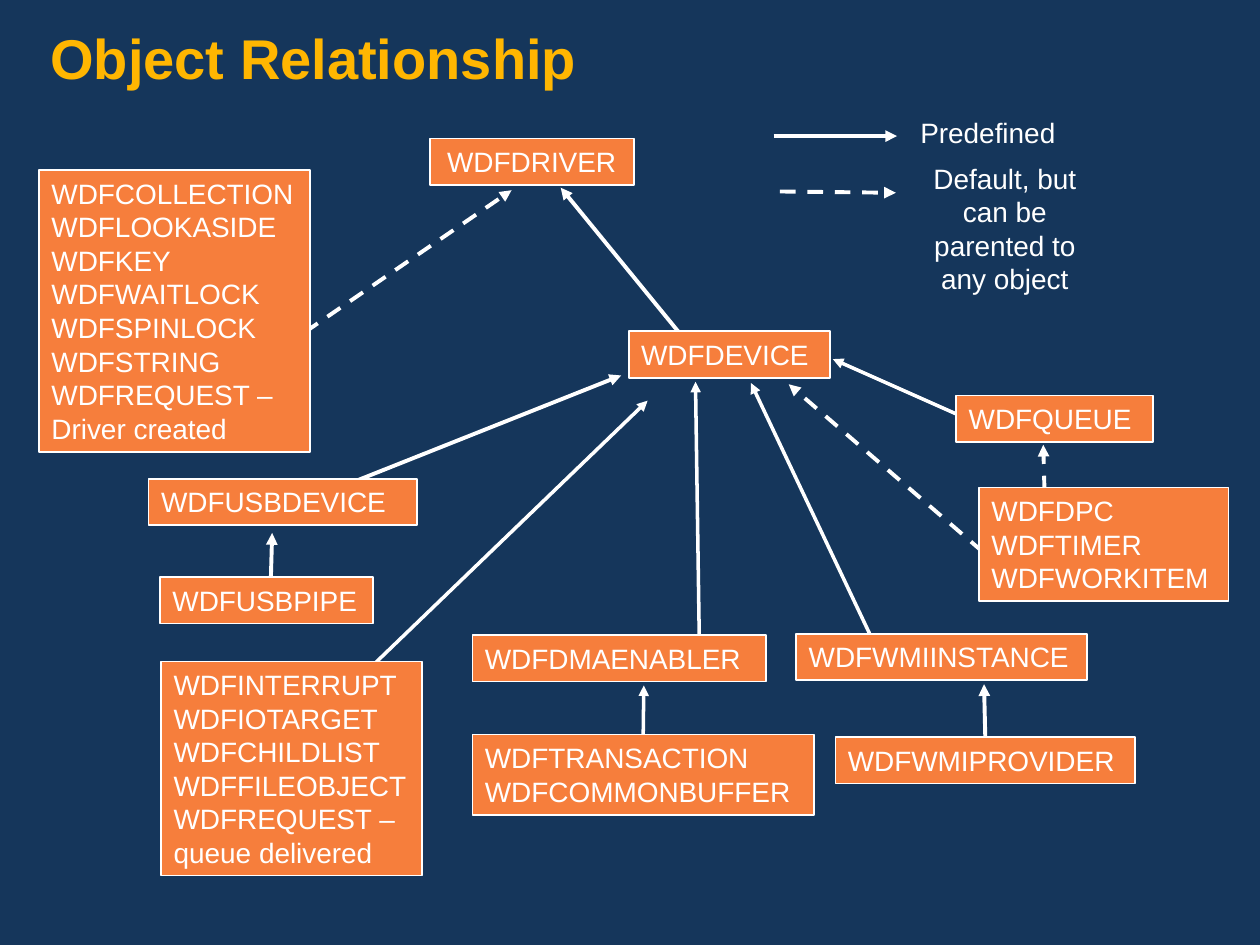
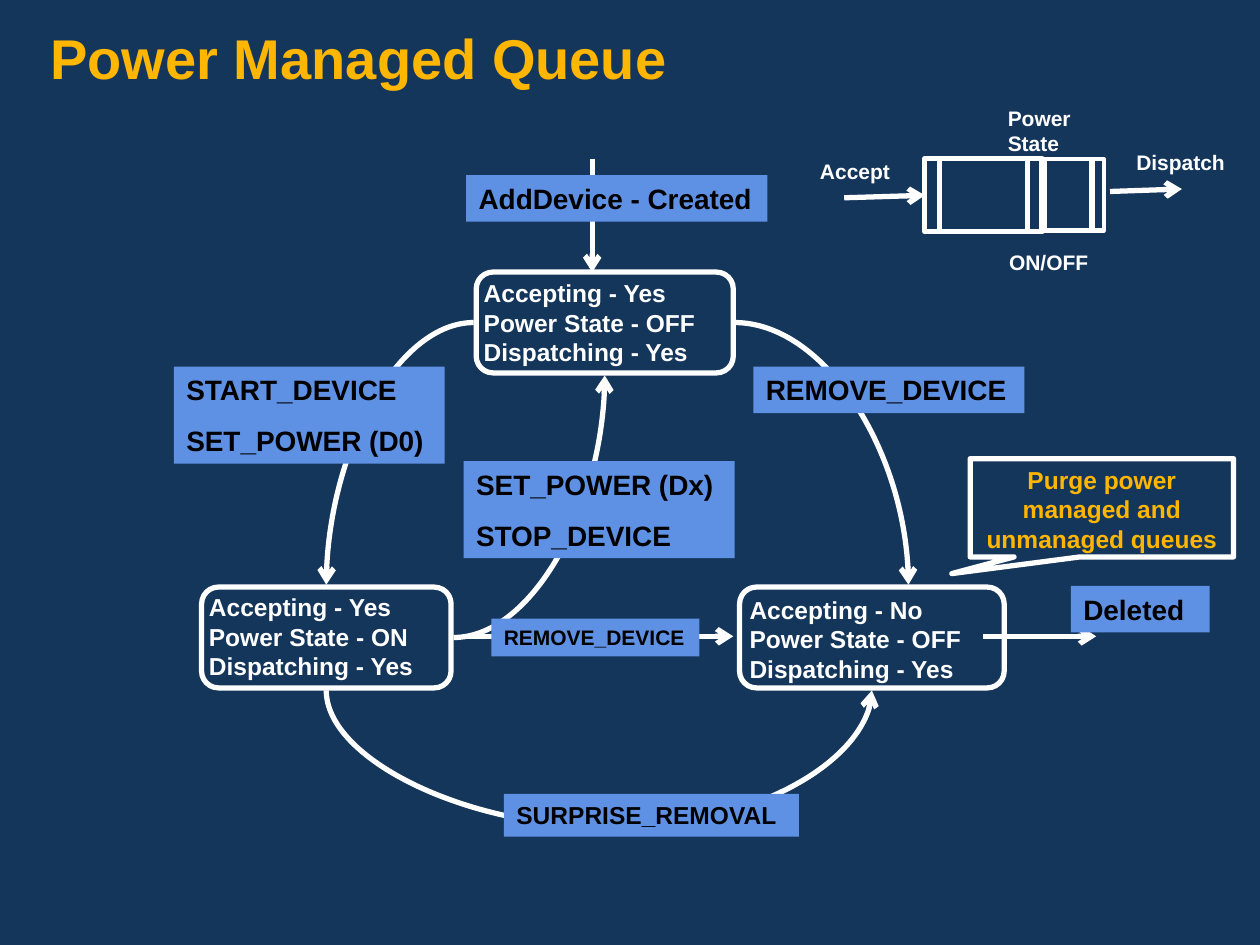
from copy import deepcopy
from dataclasses import dataclass

from lxml import etree
from pptx import Presentation
from pptx.dml.color import RGBColor
from pptx.enum.dml import MSO_LINE
from pptx.enum.shapes import MSO_CONNECTOR, MSO_SHAPE
from pptx.enum.text import MSO_ANCHOR, MSO_AUTO_SIZE, PP_ALIGN
from pptx.oxml.ns import qn
from pptx.util import Emu, Pt

PX = 9144  # 100 px to the inch
NAVY, GOLD, ORANGE, BLUE = "15365B", "FFB601", "F67E3C", "5E91E4"
WHITE, BLACK = "FFFFFF", "000000"
FONT = "Arial"
TITLE_ONLY = 5
LEFT, CENTER = PP_ALIGN.LEFT, PP_ALIGN.CENTER
TOP, MIDDLE = MSO_ANCHOR.TOP, MSO_ANCHOR.MIDDLE
FIT, FIXED = MSO_AUTO_SIZE.SHAPE_TO_FIT_TEXT, MSO_AUTO_SIZE.NONE
STRAIGHT, CURVE = MSO_CONNECTOR.STRAIGHT, MSO_CONNECTOR.CURVE
DASH = MSO_LINE.DASH
RECT, CALLOUT = MSO_SHAPE.RECTANGLE, MSO_SHAPE.RECTANGULAR_CALLOUT
ROUNDED = MSO_SHAPE.FLOWCHART_ALTERNATE_PROCESS
PREDEFINED = MSO_SHAPE.FLOWCHART_PREDEFINED_PROCESS
PROCESS = MSO_SHAPE.FLOWCHART_PROCESS
SITE_TOP, SITE_LEFT = 0, 1


@dataclass(frozen=True)
class Box:
    x: int
    y: int
    w: int
    h: int
    text: str = ""
    size: int = 16
    align: PP_ALIGN = LEFT


@dataclass(frozen=True)
class Outline:
    kind: MSO_SHAPE
    x: int
    y: int
    w: int
    h: int
    width: float = 3


@dataclass(frozen=True)
class Line:
    x1: int
    y1: int
    x2: int
    y2: int
    width: float = 2.25
    dashed: bool = False
    head: str = "triangle"
    curved: bool = False


def px(*lengths: int) -> list[Emu]:
    return [Emu(n * PX) for n in lengths]


def rgb(color: str) -> RGBColor:
    return RGBColor.from_string(color)


def write_text(tf, text: str, *, size: int = 16, color: str = WHITE, bold: bool = False,
               align: PP_ALIGN = LEFT, gap: int = 0, spacing: float = 1,
               wrap: bool = True, anchor: MSO_ANCHOR = TOP,
               fit: MSO_AUTO_SIZE = FIT) -> None:
    """Fill a frame: a newline starts a paragraph, a vertical tab breaks a line."""
    tf.word_wrap, tf.vertical_anchor, tf.auto_size = wrap, anchor, fit
    for i, content in enumerate(text.split("\n")):
        p = tf.add_paragraph() if i else tf.paragraphs[0]
        p.text = content
        p.alignment, p.line_spacing = align, spacing
        p.space_before = Pt(gap if i else 0)
        for r in p.runs:
            r.font.name, r.font.size, r.font.bold = FONT, Pt(size), bold
            r.font.color.rgb = rgb(color)
        for br in p._p.findall(qn("a:br")):
            br.append(deepcopy(p.runs[0]._r.rPr))


def add_panel(s, kind: MSO_SHAPE, box: Box | Outline, fill: str | None = None,
              line_width: float = 0):
    sp = s.shapes.add_shape(kind, *px(box.x, box.y, box.w, box.h))
    sp.shadow.inherit = False
    if fill:
        sp.fill.solid()
        sp.fill.fore_color.rgb = rgb(fill)
    else:
        sp.fill.background()
    if line_width:
        sp.line.color.rgb = rgb(WHITE)
        sp.line.width = Pt(line_width)
    else:
        sp.line.fill.background()
    return sp


def add_object(s, box: Box):
    """Orange box with one or more object types."""
    sp = add_panel(s, RECT, box, ORANGE, 1)
    write_text(sp.text_frame, box.text, align=box.align)
    return sp


def add_event(s, box: Box) -> None:
    """Blue label on a transition."""
    sp = add_panel(s, RECT, box, BLUE)
    write_text(sp.text_frame, box.text, size=box.size, color=BLACK, bold=True, gap=10)


def add_caption(s, box: Box, **text_format) -> None:
    tb = s.shapes.add_textbox(*px(box.x, box.y, box.w, box.h))
    write_text(tb.text_frame, box.text, size=box.size, align=box.align, **text_format)


def add_line(s, line: Line):
    """Draw a connector; a curve leaves horizontally and arrives vertically."""
    kind = CURVE if line.curved else STRAIGHT
    cxn = s.shapes.add_connector(kind, *px(line.x1, line.y1, line.x2, line.y2))
    cxn.line.color.rgb = rgb(WHITE)
    cxn.line.width = Pt(line.width)
    if line.dashed:
        cxn.line.dash_style = DASH
    spPr = cxn._element.spPr
    if line.curved:
        spPr.find(qn("a:prstGeom")).set("prst", "curvedConnector2")
    if line.head:
        etree.SubElement(spPr.find(qn("a:ln")), qn("a:tailEnd"), type=line.head)
    etree.SubElement(spPr, qn("a:effectLst"))
    return cxn


def add_titled_slide(prs, title: str):
    s = prs.slides.add_slide(prs.slide_layouts[TITLE_ONLY])
    sp = s.shapes.title
    sp.left, sp.top, sp.width, sp.height = px(0, 0, 1000, 75)
    tf = sp.text_frame
    tf.margin_left, tf.margin_top, tf.margin_right, tf.margin_bottom = px(40, 25, 40, 5)
    write_text(tf, title, size=32, color=GOLD, bold=True, spacing=0.9, fit=FIXED)
    return s


RELATIONS = [
    Line(769, 333, 661, 285, 2),
    Line(269, 554, 514, 318, 2),
    Line(829, 390, 828, 353, dashed=True),
    Line(548, 275, 445, 149),
    Line(555, 508, 552, 303, 2),
    Line(694, 511, 596, 304, 2),
    Line(780, 438, 626, 305, dashed=True),
    Line(249, 395, 493, 298),
    Line(224, 276, 406, 151, dashed=True),
    Line(215, 458, 216, 423),
    Line(614, 108, 712, 108),
    Line(619, 152, 711, 153, dashed=True),
]
LEGEND = [
    Box(720, 87, 128, 37, "Predefined", align=CENTER),
    Box(730, 123, 135, 117, "Default, but can be parented to any object", align=CENTER),
]
OBJECTS = [
    Box(341, 110, 162, 37, "WDFDRIVER", align=CENTER),
    Box(499, 263, 160, 37, "WDFDEVICE"),
    Box(759, 314, 156, 37, "WDFQUEUE"),
    Box(777, 387, 198, 90, "WDFDPC\vWDFTIMER\vWDFWORKITEM"),
    Box(31, 135, 215, 224, "WDFCOLLECTION\vWDFLOOKASIDE\vWDFKEY\vWDFWAITLOCK\v"
        "WDFSPINLOCK\vWDFSTRING\vWDFREQUEST –\vDriver created"),
    Box(118, 380, 213, 37, "WDFUSBDEVICE"),
    Box(127, 458, 169, 37, "WDFUSBPIPE"),
    Box(128, 525, 207, 170, "WDFINTERRUPT\nWDFIOTARGET\nWDFCHILDLIST\n"
        "WDFFILEOBJECT\vWDFREQUEST –\vqueue delivered"),
    Box(375, 504, 233, 37, "WDFDMAENABLER"),
    Box(632, 503, 231, 37, "WDFWMIINSTANCE"),
]
# Child objects whose arrow leaves from the middle of the top side
CHILDREN = [
    (Box(375, 583, 271, 64, "WDFTRANSACTION\vWDFCOMMONBUFFER"), Line(511, 583, 511, 544, 2)),
    (Box(663, 585, 238, 37, "WDFWMIPROVIDER"), Line(782, 585, 781, 543)),
]

OUTLINES = [
    Outline(ROUNDED, 378, 216, 204, 80),
    Outline(ROUNDED, 160, 466, 198, 80),
    Outline(ROUNDED, 587, 466, 210, 80),
    Outline(PROCESS, 829, 126, 38, 57, 2.5),
    Outline(PROCESS, 866, 126, 10, 57, 2.5),
]
QUEUE = Outline(PREDEFINED, 734, 126, 93, 58)
TRANSITIONS = [
    Line(376, 256, 259, 464, 3, head="arrow", curved=True),
    Line(360, 506, 480, 298, 3, head="arrow", curved=True),
    Line(583, 256, 721, 464, 3, head="arrow", curved=True),
    Line(479, 656, 259, 548, 3, head="", curved=True),
    Line(492, 656, 692, 548, 3, head="arrow", curved=True),
    Line(470, 126, 470, 216, 3, head="arrow"),
    Line(370, 505, 582, 505, 3, head="arrow"),
    Line(780, 505, 870, 505, 3, head="arrow"),
    Line(881, 152, 938, 150, 3, head="arrow"),
]
ACCEPT_ARROW = Line(670, 157, 734, 155, 3, head="arrow")
EVENTS = [
    Box(370, 139, 239, 37, "AddDevice - Created"),
    Box(138, 291, 215, 77, "START_DEVICE\nSET_POWER (D0)"),
    Box(368, 366, 215, 77, "SET_POWER (Dx)\nSTOP_DEVICE"),
    Box(598, 291, 215, 37, "REMOVE_DEVICE"),
    Box(400, 630, 234, 34, "SURPRISE_REMOVAL", 14),
    Box(850, 465, 110, 37, "Deleted"),
    Box(390, 491, 165, 30, "REMOVE_DEVICE", 12),
]
STATES = [
    Box(374, 216, 219, 80, "Accepting - Yes\vPower State - OFF\vDispatching - Yes", 14),
    Box(156, 465, 210, 80, "Accepting - Yes\vPower State - ON\vDispatching - Yes", 14),
    Box(585, 467, 219, 80, "Accepting - No\vPower State - OFF\vDispatching - Yes", 14),
]
QUEUE_CAPTIONS = [
    Box(641, 121, 76, 30, "Accept", 12),
    Box(790, 79, 83, 50, "Power State", 12),
    Box(892, 114, 96, 30, "Dispatch", 12),
    Box(791, 193, 95, 30, "ON/OFF", 12),
]
PURGE_NOTE = Box(770, 364, 209, 78, "Purge power\nmanaged and unmanaged queues", 14, CENTER)


def build_object_relationship(prs) -> None:
    s = add_titled_slide(prs, "Object Relationship")
    for line in RELATIONS:
        add_line(s, line)
    for box in LEGEND:
        add_caption(s, box)
    for box in OBJECTS:
        add_object(s, box)
    for box, line in CHILDREN:
        sp = add_object(s, box)
        add_line(s, line).begin_connect(sp, SITE_TOP)


def build_power_managed_queue(prs) -> None:
    s = add_titled_slide(prs, "Power Managed Queue")
    for outline in OUTLINES:
        add_panel(s, outline.kind, outline, line_width=outline.width)
    for line in TRANSITIONS:
        add_line(s, line)
    for box in EVENTS:
        add_event(s, box)
    queue = add_panel(s, QUEUE.kind, QUEUE, line_width=QUEUE.width)
    add_line(s, ACCEPT_ARROW).end_connect(queue, SITE_LEFT)
    for box in QUEUE_CAPTIONS:
        add_caption(s, box, bold=True)
    for box in STATES:
        add_caption(s, box, bold=True, wrap=False, anchor=MIDDLE)
    note = add_panel(s, CALLOUT, PURGE_NOTE, line_width=3)
    note.adjustments[0], note.adjustments[1] = -0.57, 0.67
    write_text(note.text_frame, PURGE_NOTE.text, size=PURGE_NOTE.size, color=GOLD,
               bold=True, align=PURGE_NOTE.align, fit=FIXED)


def main() -> None:
    prs = Presentation()
    prs.slide_width, prs.slide_height = px(1000, 750)
    background = prs.slide_master.background.fill
    background.solid()
    background.fore_color.rgb = rgb(NAVY)
    build_object_relationship(prs)
    build_power_managed_queue(prs)
    prs.save("out.pptx")


if __name__ == "__main__":
    main()
